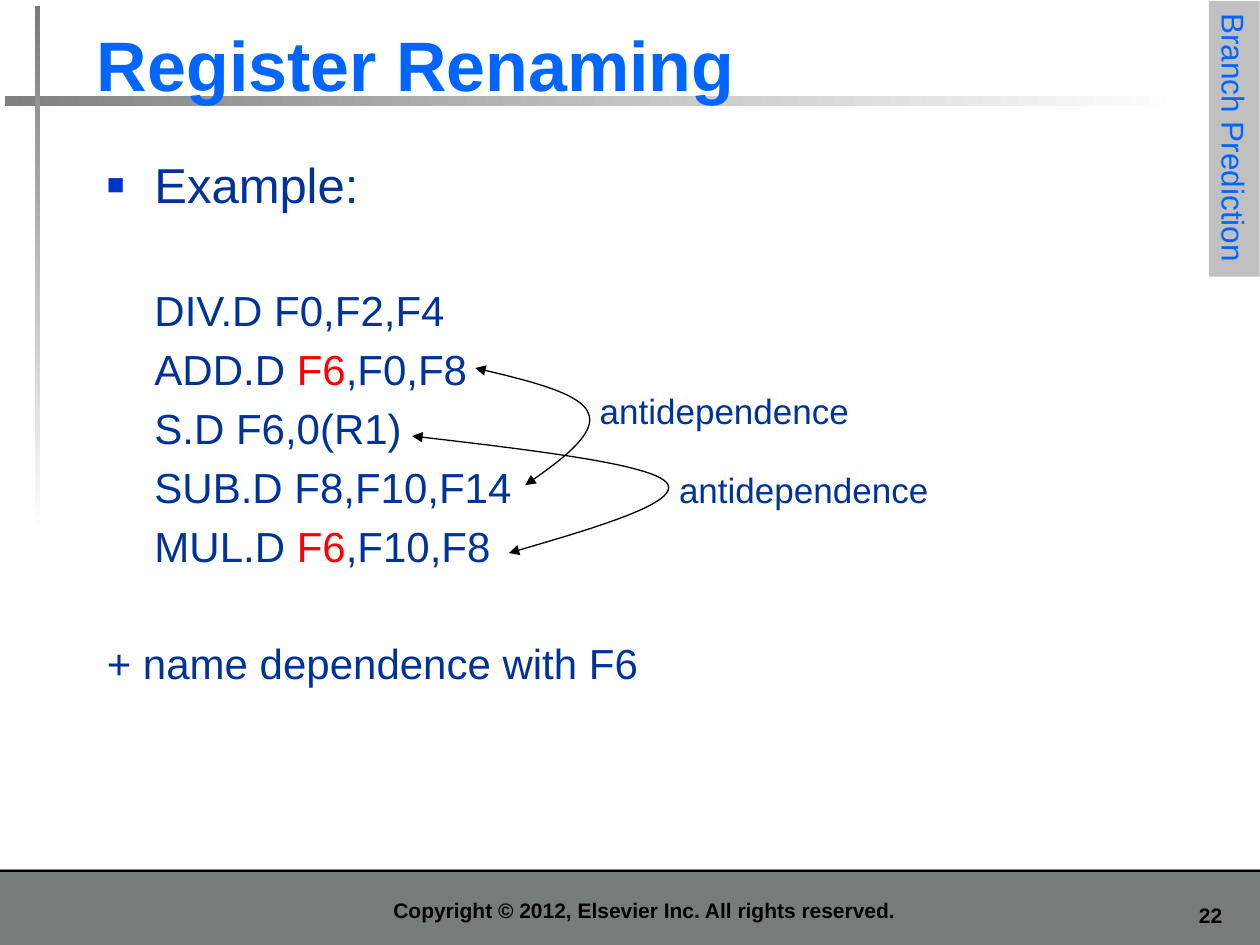
from lxml import etree
from pptx import Presentation
from pptx.dml.color import RGBColor
from pptx.enum.shapes import MSO_SHAPE
from pptx.enum.text import MSO_ANCHOR, MSO_AUTO_SIZE, PP_ALIGN
from pptx.oxml.ns import qn
from pptx.util import Cm, Pt

RECT = MSO_SHAPE.RECTANGLE
LEFT, MID, RIGHT = PP_ALIGN.LEFT, PP_ALIGN.CENTER, PP_ALIGN.RIGHT
TOP, LOW = MSO_ANCHOR.TOP, MSO_ANCHOR.BOTTOM
FIXED = MSO_AUTO_SIZE.NONE

BLUE, NAVY, DOT, RED = "0066FF", "003399", "0033CC", "FF0000"
BLACK, WHITE, SLATE, GREY, SILVER = "000000", "FFFFFF", "767D79", "808080", "C0C0C0"


def color(code):
    return RGBColor.from_string(code)


def add_tag(parent, name, **attrs):
    node = etree.SubElement(parent, qn(name))
    for key, val in attrs.items():
        node.set(key, val)
    return node


def set_bullet(par, mark):
    props = par._p.get_or_add_pPr()
    if not mark:
        add_tag(props, "a:buNone")
        return
    add_tag(add_tag(props, "a:buClr"), "a:srgbClr", val=DOT)
    add_tag(props, "a:buSzPct", val="60000")
    add_tag(props, "a:buFont", typeface="Arial")
    add_tag(props, "a:buChar", char=mark)


def write(par, text, size=12, tone=BLACK, bold=False, align=LEFT, before=0,
          pitch=1.0, indent=0, hang=0, mark=None, font="Arial"):
    """Fill a paragraph; every second part between bars is red."""
    set_bullet(par, mark)
    props = par._p.get_or_add_pPr()
    props.set("marL", str(Cm(indent)))
    props.set("indent", str(-Cm(hang)))
    par.alignment = align
    par.line_spacing = pitch
    par.space_before = Pt(before)
    for i, part in enumerate(text.split("|")):
        run = par.add_run()
        run.text = part
        run.font.name, run.font.size, run.font.bold = font, Pt(size), bold
        run.font.color.rgb = color(RED if i % 2 else tone)


def bezier(a, b, c, d, steps=24):
    """Points after a on the cubic curve from a to d."""
    for i in range(1, steps + 1):
        t = i / steps
        s = 1 - t
        yield tuple(s**3 * p + 3 * s * s * t * q + 3 * s * t * t * r + t**3 * u
                    for p, q, r, u in zip(a, b, c, d))


class Deck:
    def __init__(self, wide, high):
        self.prs = Presentation()
        self.prs.slide_width, self.prs.slide_height = Cm(wide), Cm(high)
        self.slide = self.prs.slides.add_slide(self.prs.slide_layouts[1])
        self.shapes = self.slide.shapes

    def rect(self, box, fill, fade=None, angle=0):
        shape = self.shapes.add_shape(RECT, *map(Cm, box))
        shape.shadow.inherit = False
        shape.line.fill.background()
        if fade:
            shape.fill.gradient()
            shape.fill.gradient_angle = angle
            for stop, code in zip(shape.fill.gradient_stops, (fill, fade)):
                stop.color.rgb = color(code)
        else:
            shape.fill.solid()
            shape.fill.fore_color.rgb = color(fill)
        return shape

    def text(self, box, text, anchor=TOP, **style):
        shape = self.shapes.add_textbox(*map(Cm, box))
        frame = shape.text_frame
        frame.word_wrap = True
        frame.vertical_anchor = anchor
        write(frame.paragraphs[0], text, **style)

    def holder(self, index, box, lines, anchor=TOP):
        shape = self.slide.placeholders[index]
        shape.left, shape.top, shape.width, shape.height = map(Cm, box)
        frame = shape.text_frame
        frame.auto_size = FIXED
        frame.vertical_anchor = anchor
        for i, (text, style) in enumerate(lines):
            par = frame.add_paragraph() if i else frame.paragraphs[0]
            write(par, text, **style)

    def tab(self, box, text, **style):
        shape = self.rect(box, SILVER)
        shape.rotation = 90
        shape.text_frame.word_wrap = False
        write(shape.text_frame.paragraphs[0], text, **style)

    def curve(self, *knots):
        # The builder rounds to whole units, so points are given in EMU
        knots = [(Cm(x), Cm(y)) for x, y in knots]
        pts = [*bezier(*knots[:4]), *bezier(*knots[3:])]
        pen = self.shapes.build_freeform(*knots[0])
        pen.add_line_segments(pts, close=False)
        shape = pen.convert_to_shape()
        shape.shadow.inherit = False
        shape.fill.background()
        shape.line.color.rgb = color(BLACK)
        shape.line.width = Pt(0.75)
        line = shape.line._get_or_add_ln()
        add_tag(line, "a:round")
        for end in ("a:headEnd", "a:tailEnd"):
            add_tag(line, end, type="triangle")


def main():
    deck = Deck(25.4, 19.05)

    # Title and code listing
    deck.holder(0, (1.7, 0.3, 23.01, 1.96),
                [("Register Renaming", dict(size=40, tone=BLUE, bold=True))], LOW)
    code = ["DIV.D F0,F2,F4", "ADD.D |F6|,F0,F8", "S.D F6,0(R1)",
            "SUB.D F8,F10,F14", "MUL.D |F6|,F10,F8"]
    plain = dict(size=24, tone=NAVY)
    lines = [("Example:", dict(size=28, tone=NAVY, pitch=0.9,
                               indent=0.96, hang=0.96, mark="■"))]
    lines += [(row, dict(plain, indent=0.96, before=4.8 if i else 40.5))
              for i, row in enumerate(code)]
    lines.append(("+ name dependence with F6", dict(plain, before=38.4)))
    deck.holder(1, (1.9, 3.12, 22.99, 14.2), lines)

    # Footer band and rules
    deck.rect((0, 17.53, 25.4, 1.52), SLATE)
    deck.rect((0, 17.53, 25.4, 0.05), BLACK)
    deck.rect((0.71, 0.13, 0.1, 10.59), SLATE, WHITE, 270)
    rule = deck.rect((0.1, 1.93, 23.8, 0.2), GREY, WHITE)
    # The rule lies behind the title
    tree = deck.shapes._spTree
    tree.insert(2, rule._element)
    deck.text((23.29, 18.06, 1.6, 0.76), "22", bold=True, align=RIGHT)
    deck.text((2.9, 17.73, 20.19, 0.99),
              "Copyright © 2012, Elsevier Inc. All rights reserved.",
              anchor=LOW, bold=True, align=MID)

    # Section tab
    deck.tab((22.1, 2.29, 5.56, 1.02), "Branch Prediction", size=18, tone=BLUE)

    # Dependence arrows with labels
    deck.curve((9.58, 7.42), (10.64, 7.67), (11.71, 7.92), (11.86, 8.33),
               (12.04, 8.74), (11.33, 9.27), (10.59, 9.78))
    deck.curve((8.31, 8.79), (10.69, 9.07), (13.11, 9.35), (13.44, 9.73),
               (13.77, 10.13), (12.01, 10.64), (10.26, 11.15))
    for left, top in ((11.71, 7.72), (13.31, 9.32)):
        deck.text((left, top, 5.79, 1.12), "antidependence",
                  size=20, tone=NAVY, align=MID)

    deck.prs.save("out.pptx")


if __name__ == "__main__":
    main()
